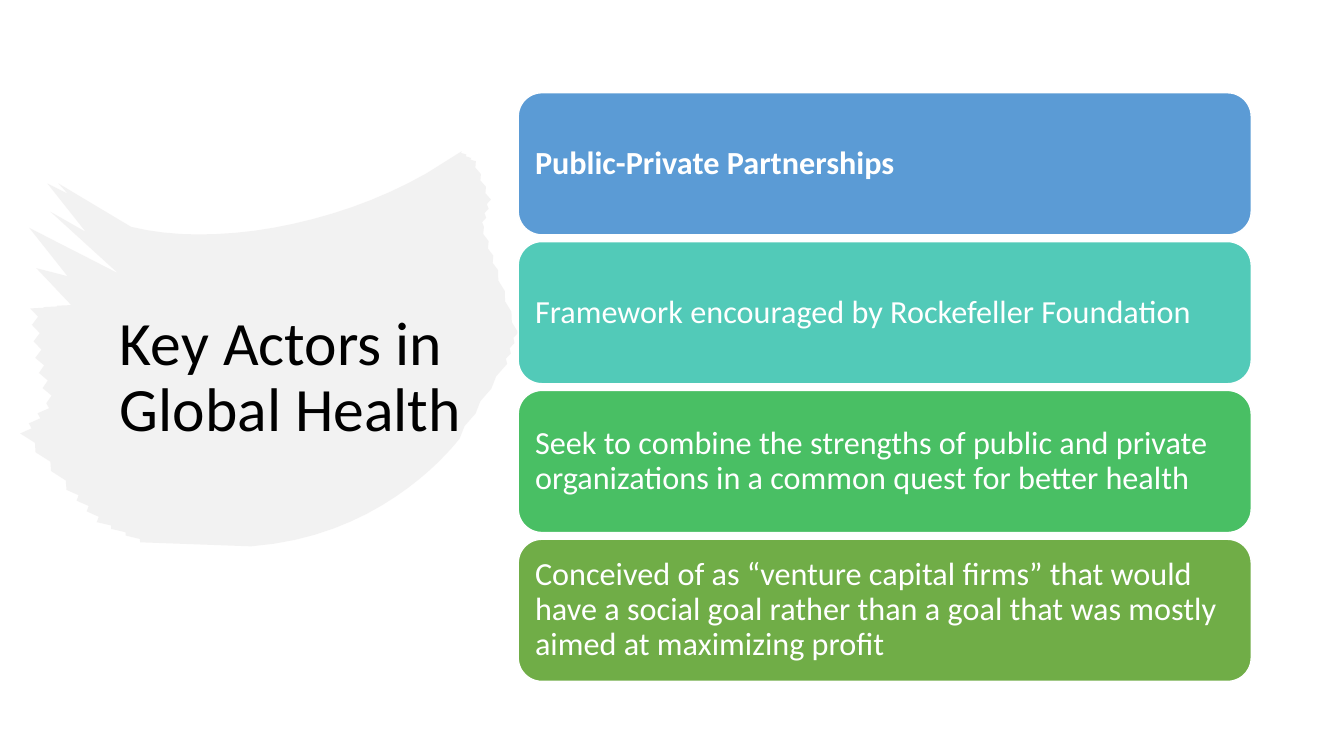
from lxml import etree
from pptx import Presentation, util as u
from pptx.dml.color import RGBColor
from pptx.enum import shapes, text
from pptx.oxml.ns import qn

WIDTH, HEIGHT = 13.33, 7.5
FONT = "Calibri"

# Card column: left, top, width, height and step from card to card
CARD_LEFT, CARD_TOP = 5.14, 0.92
CARD_WIDTH, CARD_HEIGHT = 7.27, 1.41
CARD_STEP = (5.35 - CARD_TOP) / 3

CARDS = [
    ("Public-Private Partnerships", "5B9BD5", True),
    ("Framework encouraged by Rockefeller Foundation", "52CAB8", False),
    ("Seek to combine the strengths of public and private organizations "
     "in a common quest for better health", "49BF64", False),
    ("Conceived of as “venture capital firms” that would have a social goal "
     "rather than a goal that was mostly aimed at maximizing profit", "70AD47", False),
]

# Brush stroke edges, clockwise, in inches
RIGHT_EDGE = [(4.58, 1.5), (4.72, 1.6), (4.87, 1.98), (4.8, 2.25),
              (4.94, 2.68), (5.14, 3.3), (5.03, 3.61), (4.56, 4.35)]
BOTTOM_CURVE = [(4.56, 4.35), (4.4, 4.55), (3.72, 5.33), (2.49, 5.42)]
LEFT_EDGE = [(1.39, 5.38), (0.96, 5.18), (0.66, 4.86), (0.2, 4.3),
             (0.46, 4.0), (0.35, 3.55), (0.3, 3.06), (0.7, 3.02)]
BRISTLE_TIPS = [(0.36, 2.66), (0.29, 2.26), (0.5, 2.1), (0.47, 1.82)]
BRISTLE_ROOTS = [(0.67, 2.74), (1.17, 2.71), (0.85, 2.3), (0.67, 1.92)]
TOP_CURVE = [(1.3, 2.25), (2.1, 2.45), (3.3, 2.25), (4.23, 1.72)]


def color(hex_value):
    return RGBColor.from_string(hex_value)


def inches(*values):
    return [u.Inches(value) for value in values]


def curve(points, steps=16):
    """Points along a cubic curve, both ends included."""
    for step in range(steps + 1):
        t = step / steps
        shares = [w * t**i * (1 - t)**(3 - i) for i, w in enumerate((1, 3, 3, 1))]
        yield tuple(sum(s * p[axis] for s, p in zip(shares, points))
                    for axis in (0, 1))


def ragged(points, depth, teeth=3):
    """An edge with small notches, depth inches across."""
    for (x1, y1), (x2, y2) in zip(points, points[1:]):
        for tooth in range(teeth):
            for share, notch in ((0, 0), (0.5, depth)):
                t = (tooth + share) / teeth
                yield x1 + (x2 - x1) * t + notch, y1 + (y2 - y1) * t
    yield points[-1]


def add_brush(page):
    outline = [*ragged(RIGHT_EDGE, -0.03), *curve(BOTTOM_CURVE),
               *ragged(LEFT_EDGE, 0.07)]
    for tip, root in zip(BRISTLE_TIPS, BRISTLE_ROOTS):
        outline += [tip, root]
    outline += [(0.58, 1.82), *curve(TOP_CURVE)]

    scale = 1000
    grid = [(round(x * scale), round(y * scale)) for x, y in outline]
    builder = page.shapes.build_freeform(*grid[0], scale=u.Inches(1) / scale)
    builder.add_line_segments(grid[1:], close=True)
    brush = builder.convert_to_shape()
    brush.shadow.inherit = False
    brush.line.fill.background()
    brush.fill.solid()
    brush.fill.fore_color.rgb = color("E7E6E6")
    # Half transparent
    tone = brush._element.spPr.find(qn("a:solidFill")).find(qn("a:srgbClr"))
    etree.SubElement(tone, qn("a:alpha")).set("val", "50000")


def write(box, words, size, hex_value, bold=False):
    frame = box.text_frame
    frame.text = words
    frame.word_wrap = True
    frame.vertical_anchor = text.MSO_ANCHOR.MIDDLE
    para = frame.paragraphs[0]
    para.alignment = text.PP_ALIGN.LEFT
    para.line_spacing = 0.9
    font = para.runs[0].font
    font.name, font.size, font.bold = FONT, u.Pt(size), bold
    font.color.rgb = color(hex_value)


def add_title(page, words):
    title = page.shapes.title
    title.left, title.top, title.width, title.height = inches(1.09, 0.75, 3.82, 6.01)
    write(title, words, 44, "000000")
    # Bring the title in front of the brush stroke
    page.shapes._spTree.append(title._element)


def add_card(page, row, words, fill, bold):
    card = page.shapes.add_shape(
        shapes.MSO_SHAPE.ROUNDED_RECTANGLE,
        *inches(CARD_LEFT, CARD_TOP + row * CARD_STEP, CARD_WIDTH, CARD_HEIGHT))
    card.shadow.inherit = False
    card.fill.solid()
    card.fill.fore_color.rgb = color(fill)
    card.line.color.rgb = color("FFFFFF")
    card.line.width = u.Pt(1)
    frame = card.text_frame
    frame.margin_left = frame.margin_right = u.Inches(0.1)
    frame.margin_top = frame.margin_bottom = u.Inches(0.1)
    write(card, words, 23, "FFFFFF", bold)


def main():
    deck = Presentation()
    deck.slide_width, deck.slide_height = inches(WIDTH, HEIGHT)
    page = deck.slides.add_slide(deck.slide_layouts[5])

    # Left side: brush stroke behind the title
    add_brush(page)
    add_title(page, "Key Actors in Global Health")

    # Right side: stack of cards
    for row, (words, fill, bold) in enumerate(CARDS):
        add_card(page, row, words, fill, bold)

    deck.save("out.pptx")


if __name__ == "__main__":
    main()
